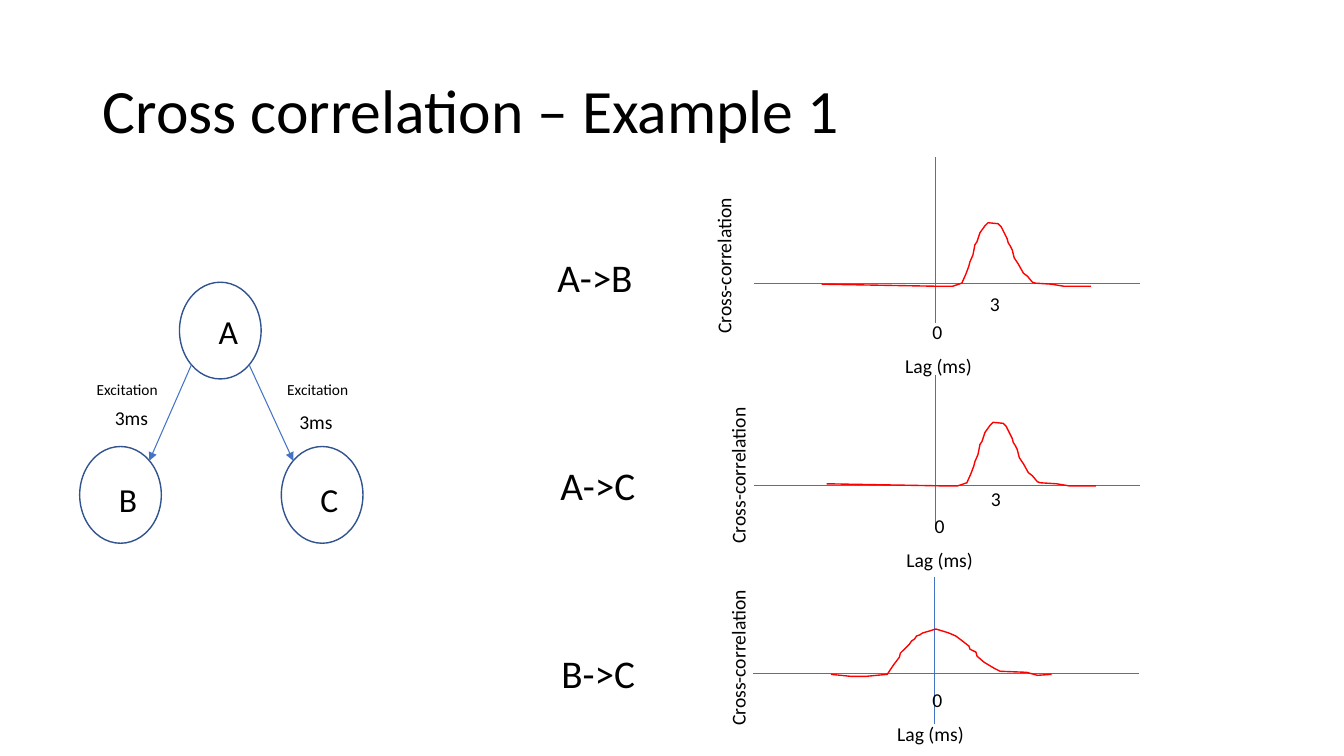
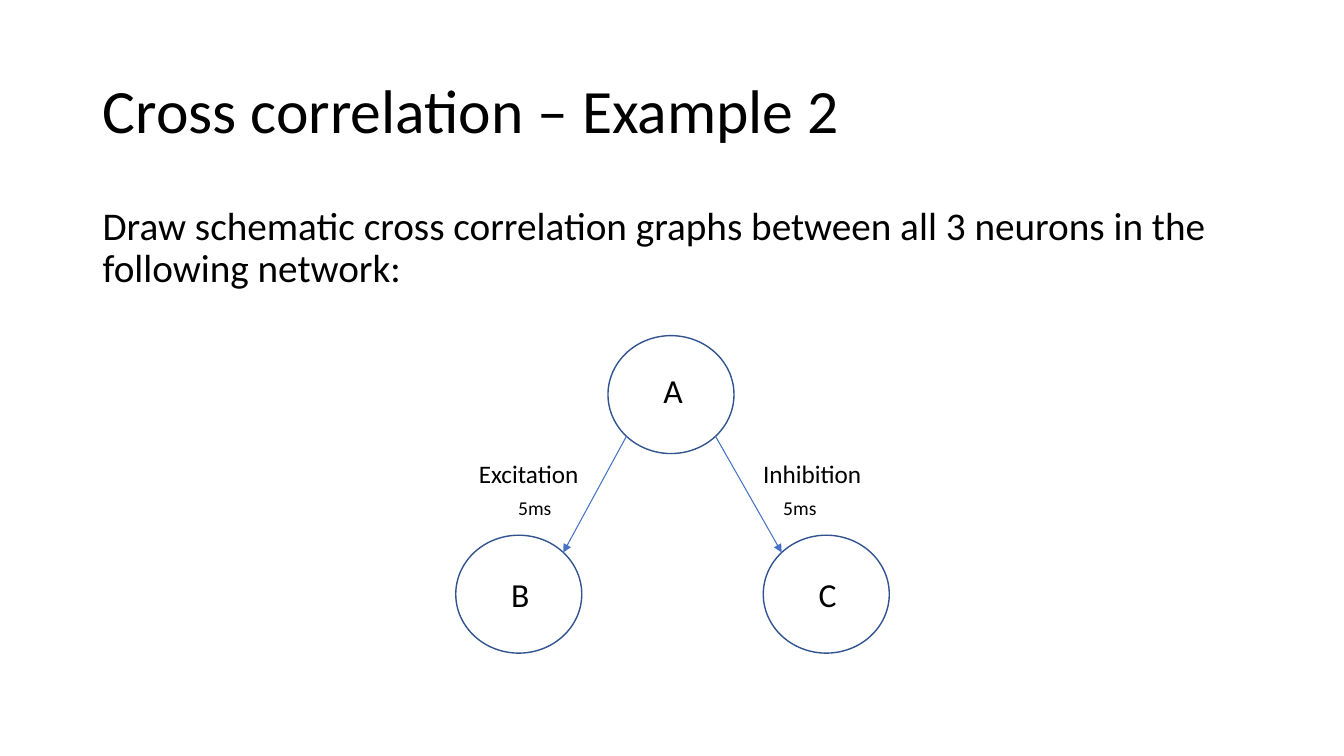
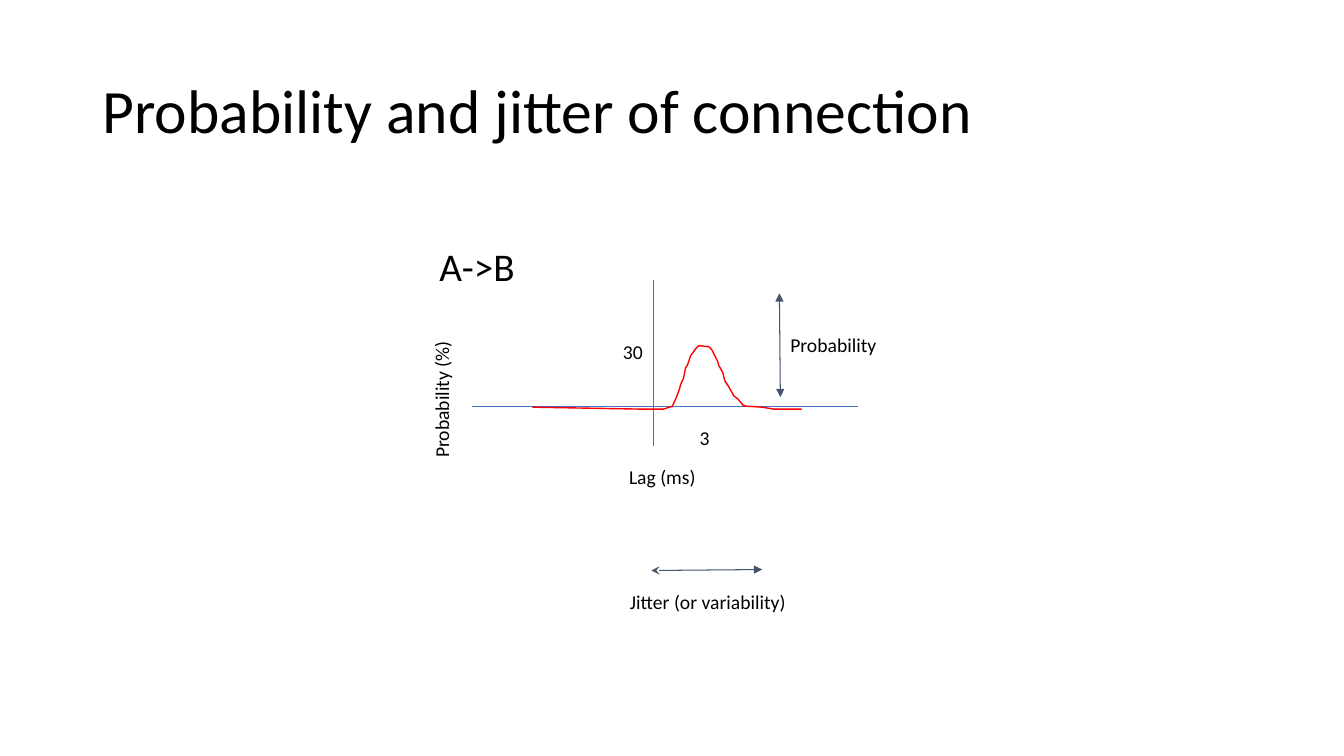
"""Build three slides on cross correlation between neurons."""
from functools import partial
from math import sqrt

from lxml.etree import SubElement
from pptx import Presentation
from pptx.dml.color import RGBColor
from pptx.enum.shapes import MSO_CONNECTOR, MSO_SHAPE
from pptx.enum.text import MSO_ANCHOR
from pptx.oxml.ns import qn
from pptx.util import Inches, Pt

SLIDE_SIZE = (13.33, 7.5)
FONT = "Calibri"
BLACK, BLUE, NAVY, SLATE, RED = "000000", "4472C4", "31538F", "44546A", "FF0000"

AXIS_LEFT, AXIS_RIGHT = 1.8, 2.03

NARROW_PEAK = [
    (0, 0.61), (1.12, 0.63), (1.3, 0.63), (1.39, 0.6), (1.43, 0.51), (1.46, 0.43),
    (1.47, 0.39), (1.5, 0.32), (1.52, 0.22), (1.54, 0.19), (1.56, 0.13), (1.57, 0.1),
    (1.62, 0.03), (1.65, 0), (1.75, 0.01), (1.78, 0.04), (1.81, 0.1), (1.84, 0.16),
    (1.85, 0.2), (1.87, 0.23), (1.89, 0.27), (1.91, 0.35), (1.95, 0.41), (2, 0.5),
    (2.04, 0.53), (2.09, 0.59), (2.12, 0.6), (2.28, 0.61), (2.4, 0.63), (2.67, 0.63),
]
BROAD_PEAK = [
    (0, 0.45), (0.2, 0.47), (0.35, 0.47), (0.56, 0.45), (0.62, 0.36), (0.68, 0.28),
    (0.69, 0.24), (0.75, 0.18), (0.78, 0.15), (0.8, 0.12), (0.83, 0.1), (0.85, 0.07),
    (0.88, 0.06), (0.91, 0.04), (0.98, 0.02), (1.04, 0), (1.14, 0.03), (1.17, 0.04),
    (1.24, 0.07), (1.28, 0.1), (1.37, 0.17), (1.38, 0.2), (1.44, 0.23), (1.45, 0.27),
    (1.52, 0.33), (1.62, 0.39), (1.68, 0.42), (1.94, 0.43), (2.05, 0.46), (2.19, 0.45),
]

EXAMPLE_1 = {
    "title": "Cross correlation – Example 1",
    "network": {
        "size": (0.81, 0.96), "letter_inset": 0.29, "label_size": 11,
        "nodes": [("A", 1.78, 2.8, 0.24), ("B", 0.79, 4.43, 0.27), ("C", 2.79, 4.43, 0.27)],
        "labels": [("Excitation", 0.86, 3.72), ("Excitation", 2.75, 3.72)],
        "delays": [("3ms", 1.04, 3.93), ("3ms", 2.87, 3.97)],
    },
    "graphs": [
        {"pair": ("A->B", 5.43, 2.46), "origin": (9.28, 2.81), "up": 1.25, "down": 0.39,
         "curve": NARROW_PEAK, "curve_at": (8.15, 2.21),
         "measure": ("Cross-correlation", 6.36, 2.37),
         "labels": [("3", 9.72, 2.8), ("0", 9.15, 3.07), ("Lag (ms)", 8.88, 3.41)]},
        {"pair": ("A->C", 5.46, 4.53), "origin": (9.28, 4.82), "up": 1.1, "down": 0.43,
         "curve": NARROW_PEAK, "curve_at": (8.2, 4.19),
         "measure": ("Cross-correlation", 6.5, 4.45),
         "labels": [("3", 9.73, 4.73), ("0", 9.17, 5), ("Lag (ms)", 8.89, 5.34)]},
        {"pair": ("B->C", 5.47, 6.39), "origin": (9.27, 6.68), "up": 0.96, "down": 0.5,
         "curve": BROAD_PEAK, "curve_at": (8.24, 6.24),
         "measure": ("Cross-correlation", 6.5, 6.26),
         "labels": [("0", 9.15, 6.72), ("Lag (ms)", 8.8, 7.06)]},
    ],
}
EXAMPLE_2 = {
    "title": "Cross correlation – Example 2",
    "body": "Draw schematic cross correlation graphs between all 3 neurons "
            "in the following network:",
    "network": {
        "size": (1.25, 1.17), "letter_inset": 0.45, "label_size": 18,
        "nodes": [("A", 6.03, 3.33, 0.29), ("B", 4.52, 5.31, 0.33), ("C", 7.57, 5.31, 0.33)],
        "labels": [("Excitation", 4.65, 4.5), ("Inhibition", 7.47, 4.5)],
        "delays": [("5ms", 5.04, 4.82), ("5ms", 7.67, 4.82)],
    },
}
JITTER = {
    "title": "Probability and jitter of connection",
    "graphs": [
        {"pair": ("A->B", 4.26, 2.35), "origin": (6.48, 4.03), "up": 1.25, "down": 0.39,
         "curve": NARROW_PEAK, "curve_at": (5.28, 3.43),
         "measure": ("Probability (%)", 3.56, 3.6),
         "labels": [("30", 6.08, 3.27), ("3", 6.84, 4.13), ("Lag (ms)", 6.14, 4.51)]},
    ],
    "spans": [
        {"label": ("Probability", 7.74, 3.2), "start": (7.74, 3.94), "end": (7.73, 2.91),
         "head": "triangle"},
        {"label": ("Jitter (or variability)", 6.15, 5.75), "start": (6.46, 5.66),
         "end": (7.56, 5.65), "head": "stealth"},
    ],
}


def color(hex_string):
    return RGBColor.from_string(hex_string)


def add_text(slide, text, left, top, width=1.02, height=0.5, size=28, pad=0.05,
             rotation=0, anchor=MSO_ANCHOR.TOP, line_spacing=1.0):
    shape = slide.shapes.add_textbox(*map(Inches, (left, top, width, height)))
    shape.rotation = rotation
    frame = shape.text_frame
    frame.word_wrap = True
    frame.vertical_anchor = anchor
    frame.margin_top = frame.margin_bottom = Inches(pad)
    frame.margin_left = frame.margin_right = Inches(0.1)
    paragraph = frame.paragraphs[0]
    paragraph.line_spacing = line_spacing
    run = paragraph.add_run()
    run.text = text
    run.font.name = FONT
    run.font.size = Pt(size)
    run.font.color.rgb = color(BLACK)


add_small = partial(add_text, width=1.8, height=0.44, size=14, pad=0.1)


def add_line(slide, start, end, line_color=BLUE, head=None, tail=None):
    connector = slide.shapes.add_connector(
        MSO_CONNECTOR.STRAIGHT, *map(Inches, (*start, *end)))
    connector.line.color.rgb = color(line_color)
    connector.line.width = Pt(0.75)
    properties = connector._element.spPr
    outline = properties.find(qn("a:ln"))
    for tag, arrow in (("a:headEnd", head), ("a:tailEnd", tail)):
        if arrow:
            SubElement(outline, qn(tag), type=arrow)
    SubElement(properties, qn("a:effectLst"))


def outline_only(shape, line_color):
    shape.shadow.inherit = False
    shape.fill.background()
    shape.line.color.rgb = color(line_color)
    shape.line.width = Pt(1)


def add_curve(slide, points, left, top):
    start, *rest = [(Inches(left + x), Inches(top + y)) for x, y in points]
    builder = slide.shapes.build_freeform(*start)
    builder.add_line_segments(rest, close=False)
    outline_only(builder.convert_to_shape(), RED)


def add_network(slide, network):
    width, height = network["size"]
    reach_x, reach_y = width / 2 / sqrt(2), height / 2 / sqrt(2)
    centers = []
    for letter, left, top, drop in network["nodes"]:
        neuron = slide.shapes.add_shape(
            MSO_SHAPE.OVAL, *map(Inches, (left, top, width, height)))
        outline_only(neuron, NAVY)
        centers.append((left + width / 2, top + height / 2))
        add_text(slide, letter, left + network["letter_inset"], top + drop,
                 width=0.45, size=24)
    (source_x, source_y), *targets = centers
    for (target_x, target_y), side in zip(targets, (-1, 1)):
        add_line(slide, (source_x + side * reach_x, source_y + reach_y),
                 (target_x - side * reach_x, target_y - reach_y), tail="triangle")
    for label in network["labels"]:
        add_text(slide, *label, width=1.25, height=0.4, size=network["label_size"])
    for delay in network["delays"]:
        add_small(slide, *delay, width=0.63)


def add_graph(slide, graph):
    x, y = graph["origin"]
    add_line(slide, (x - AXIS_LEFT, y), (x + AXIS_RIGHT, y))
    add_line(slide, (x, y + graph["down"]), (x, y - graph["up"]))
    add_curve(slide, graph["curve"], *graph["curve_at"])
    add_text(slide, *graph["pair"], height=0.57)
    add_small(slide, *graph["measure"], width=1.64, rotation=270)
    for label in graph["labels"]:
        add_small(slide, *label, width=0.92)


def add_slide(presentation, content):
    slide = presentation.slides.add_slide(presentation.slide_layouts[6])
    add_text(slide, content["title"], 0.92, 0.4, width=11.5, height=1.45, size=44,
             anchor=MSO_ANCHOR.MIDDLE, line_spacing=0.9)
    if "body" in content:
        add_text(slide, content["body"], 0.92, 2, width=11.5, height=4.76, line_spacing=0.9)
    if "network" in content:
        add_network(slide, content["network"])
    for graph in content.get("graphs", []):
        add_graph(slide, graph)
    for span in content.get("spans", []):
        add_line(slide, span["start"], span["end"], SLATE, span["head"], "triangle")
        add_small(slide, *span["label"])


def main():
    presentation = Presentation()
    presentation.slide_width, presentation.slide_height = map(Inches, SLIDE_SIZE)
    for content in (EXAMPLE_1, EXAMPLE_2, JITTER):
        add_slide(presentation, content)
    presentation.save("out.pptx")


if __name__ == "__main__":
    main()
